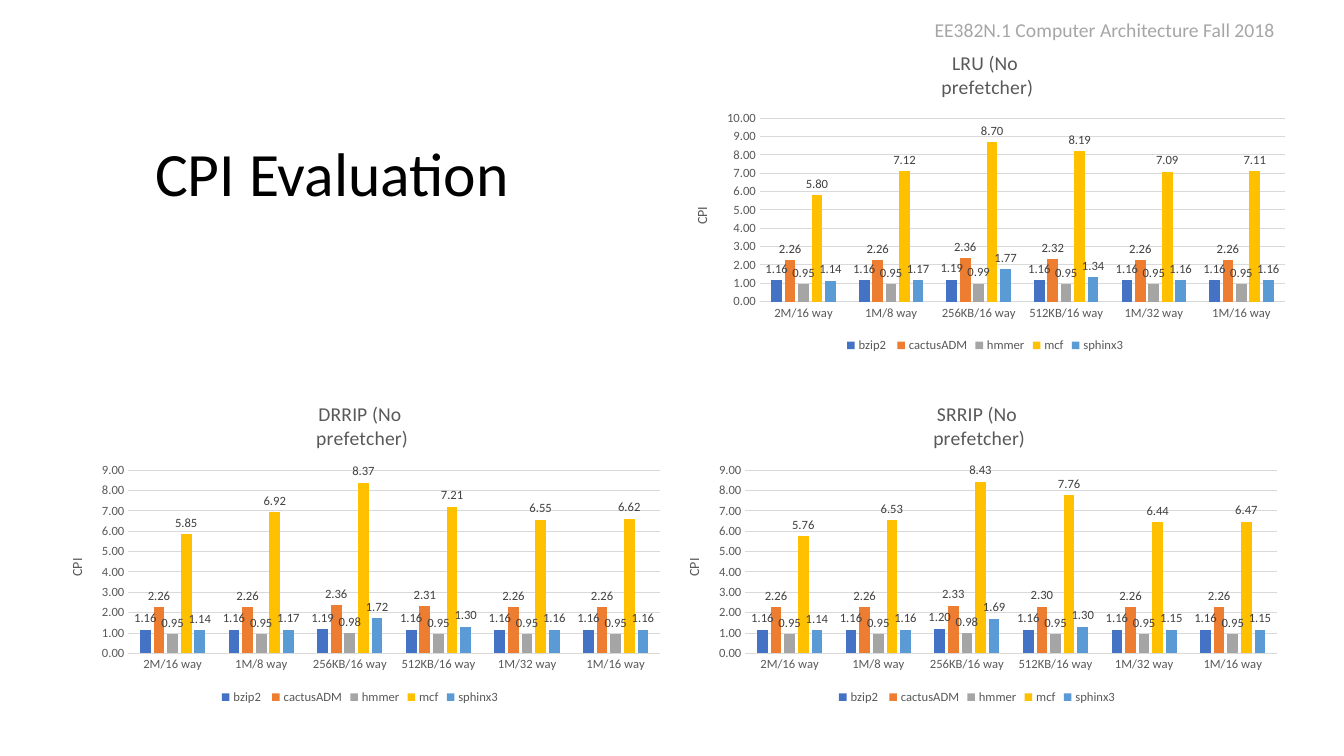
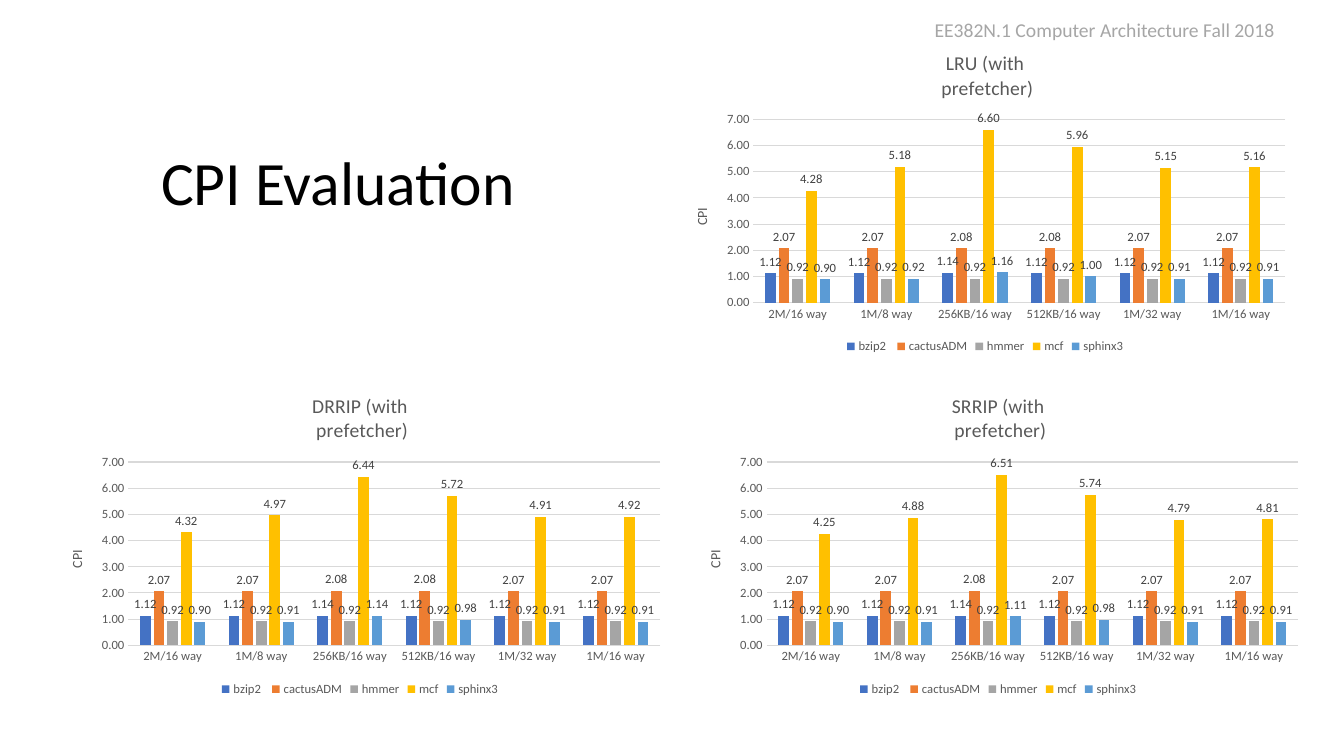
from pptx import Presentation
from pptx.chart.data import CategoryChartData
from pptx.dml.color import RGBColor
from pptx.enum import chart as ch, text
from pptx.util import Inches, Pt

FONT = "Calibri"
BLACK, HEADER, GREY, LABEL, GRID = "000000", "A6A6A6", "595959", "404040", "D9D9D9"
CONFIGS = ["2M/16 way", "1M/8 way", "256KB/16 way", "512KB/16 way", "1M/32 way", "1M/16 way"]
BENCHMARKS = {"bzip2 ": "4472C4", "cactusADM": "ED7D31", "hmmer": "A5A5A5",
              "mcf": "FFC000", "sphinx3": "5B9BD5"}


def rgb(value):
    return RGBColor.from_string(value)


def style(font, size, color):
    font.name, font.size, font.bold = FONT, Pt(size), False
    font.color.rgb = rgb(color)


# Each slide: title position, chart title ending, charts as (policy, left, top, CPI rows)
slides = [
    (1.44, 1.03, "(No\n prefetcher)", [
        ("DRRIP", 0.47, 3.83, [
            [1.16, 1.16, 1.19, 1.16, 1.16, 1.16],
            [2.26, 2.26, 2.36, 2.31, 2.26, 2.26],
            [0.95, 0.95, 0.98, 0.95, 0.95, 0.95],
            [5.85, 6.92, 8.37, 7.21, 6.55, 6.62],
            [1.14, 1.17, 1.72, 1.30, 1.16, 1.16]]),
        ("LRU", 6.67, 0.34, [
            [1.16, 1.16, 1.19, 1.16, 1.16, 1.16],
            [2.26, 2.26, 2.36, 2.32, 2.26, 2.26],
            [0.95, 0.95, 0.99, 0.95, 0.95, 0.95],
            [5.80, 7.12, 8.70, 8.19, 7.09, 7.11],
            [1.14, 1.17, 1.77, 1.34, 1.16, 1.16]]),
        ("SRRIP", 6.59, 3.83, [
            [1.16, 1.16, 1.20, 1.16, 1.16, 1.16],
            [2.26, 2.26, 2.33, 2.30, 2.26, 2.26],
            [0.95, 0.95, 0.98, 0.95, 0.95, 0.95],
            [5.76, 6.53, 8.43, 7.76, 6.44, 6.47],
            [1.14, 1.16, 1.69, 1.30, 1.15, 1.15]]),
    ]),
    (1.5, 1.12, "(with\n prefetcher)", [
        ("LRU", 6.67, 0.35, [
            [1.12, 1.12, 1.14, 1.12, 1.12, 1.12],
            [2.07, 2.07, 2.08, 2.08, 2.07, 2.07],
            [0.92, 0.92, 0.92, 0.92, 0.92, 0.92],
            [4.28, 5.18, 6.60, 5.96, 5.15, 5.16],
            [0.90, 0.92, 1.16, 1.00, 0.91, 0.91]]),
        ("DRRIP", 0.47, 3.75, [
            [1.12, 1.12, 1.14, 1.12, 1.12, 1.12],
            [2.07, 2.07, 2.08, 2.08, 2.07, 2.07],
            [0.92, 0.92, 0.92, 0.92, 0.92, 0.92],
            [4.32, 4.97, 6.44, 5.72, 4.91, 4.92],
            [0.90, 0.91, 1.14, 0.98, 0.91, 0.91]]),
        ("SRRIP", 6.8, 3.75, [
            [1.12, 1.12, 1.14, 1.12, 1.12, 1.12],
            [2.07, 2.07, 2.08, 2.07, 2.07, 2.07],
            [0.92, 0.92, 0.92, 0.92, 0.92, 0.92],
            [4.25, 4.88, 6.51, 5.74, 4.79, 4.81],
            [0.90, 0.91, 1.11, 0.98, 0.91, 0.91]]),
    ]),
]

prs = Presentation()
prs.slide_width, prs.slide_height = Inches(13.33), Inches(7.5)

for title_left, title_top, ending, charts in slides:
    s = prs.slides.add_slide(prs.slide_layouts[6])

    # Course header and slide title
    for words, box, size, color, wrap, anchor, spacing in [
        ("EE382N.1 Computer Architecture Fall 2018", (9.17, 0.13, 3.68, 0.34),
         14, HEADER, False, text.MSO_ANCHOR.TOP, 1.0),
        ("CPI Evaluation", (title_left, title_top, 11.5, 1.45),
         44, BLACK, True, text.MSO_ANCHOR.MIDDLE, 0.9),
    ]:
        tf = s.shapes.add_textbox(*map(Inches, box)).text_frame
        tf.text = words
        tf.word_wrap, tf.vertical_anchor = wrap, anchor
        p = tf.paragraphs[0]
        p.line_spacing = spacing
        style(p.runs[0].font, size, color)

    # One column chart per replacement policy
    for policy, left, top, rows in charts:
        data = CategoryChartData(number_format="0.00")
        data.categories = CONFIGS
        for name, row in zip(BENCHMARKS, rows):
            data.add_series(name, row)
        chart = s.shapes.add_chart(ch.XL_CHART_TYPE.COLUMN_CLUSTERED, Inches(left), Inches(top),
                                   Inches(6.2), Inches(3.2), data).chart
        style(chart.font, 10, BLACK)

        # Columns and value labels
        plot = chart.plots[0]
        plot.gap_width, plot.overlap, plot.vary_by_categories = 219, -27, False
        for series, color in zip(plot.series, BENCHMARKS.values()):
            series.format.fill.solid()
            series.format.fill.fore_color.rgb = rgb(color)
            labels = series.data_labels
            labels.show_value = True
            labels.position = ch.XL_LABEL_POSITION.OUTSIDE_END
            labels.number_format, labels.number_format_is_linked = "0.00", False
            style(labels.font, 9, LABEL)

        # Axes
        cat_axis, val_axis = chart.category_axis, chart.value_axis
        for axis in (cat_axis, val_axis):
            axis.major_tick_mark = axis.minor_tick_mark = ch.XL_TICK_MARK.NONE
            style(axis.tick_labels.font, 9, GREY)
        val_axis.tick_labels.number_format = "0.00"
        val_axis.tick_labels.number_format_is_linked = False
        val_axis.format.line.fill.background()
        for line in (cat_axis.format.line, val_axis.major_gridlines.format.line):
            line.color.rgb = rgb(GRID)
            line.width = Pt(0.75)

        # Chart title, axis title and legend
        for title, words, size in [(chart.chart_title, f"{policy} {ending}", 14),
                                   (val_axis.axis_title, "CPI", 10)]:
            title.text_frame.text = words
            for p in title.text_frame.paragraphs:
                style(p.font, size, GREY)
                style(p.runs[0].font, size, GREY)
        chart.chart_title.include_in_layout = False
        body = val_axis.axis_title.text_frame._txBody.bodyPr
        body.set("rot", "-5400000")
        body.set("vert", "horz")
        chart.has_legend = True
        chart.legend.position = ch.XL_LEGEND_POSITION.BOTTOM
        chart.legend.include_in_layout = False
        style(chart.legend.font, 9, GREY)

prs.save("out.pptx")
